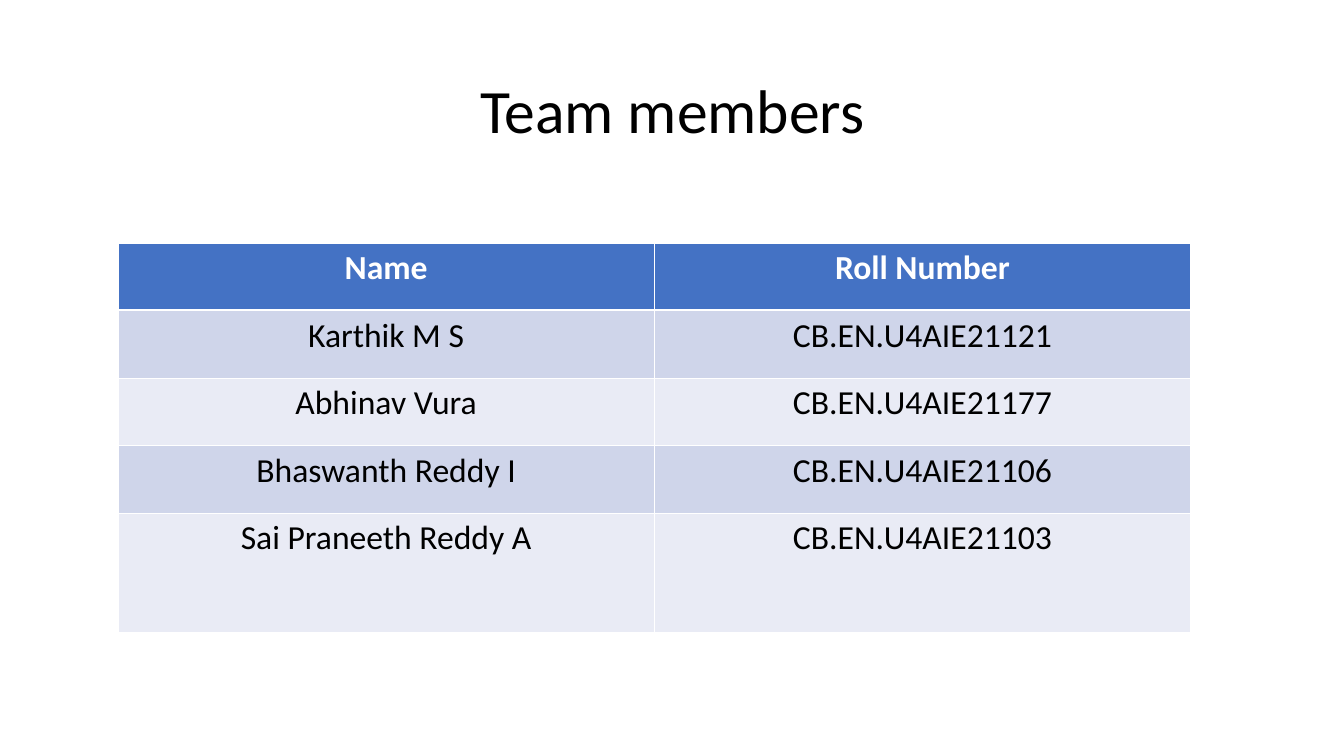
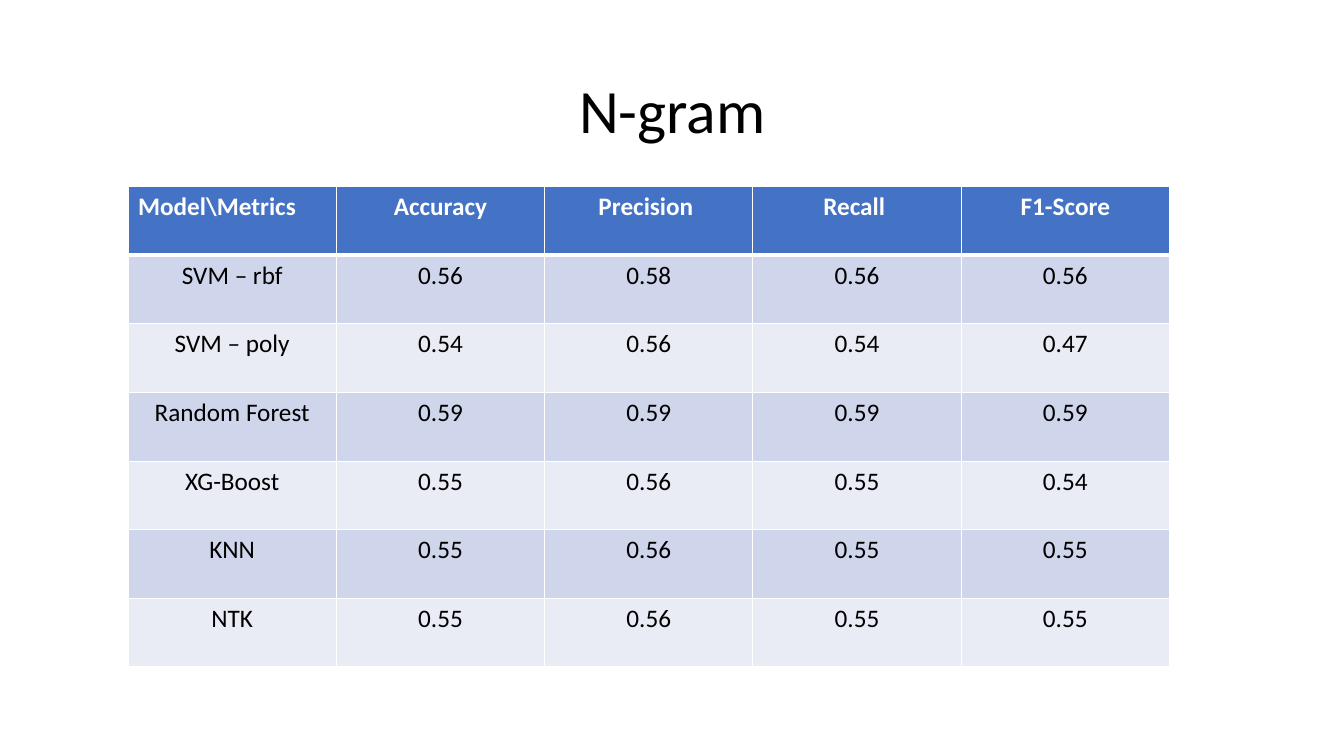
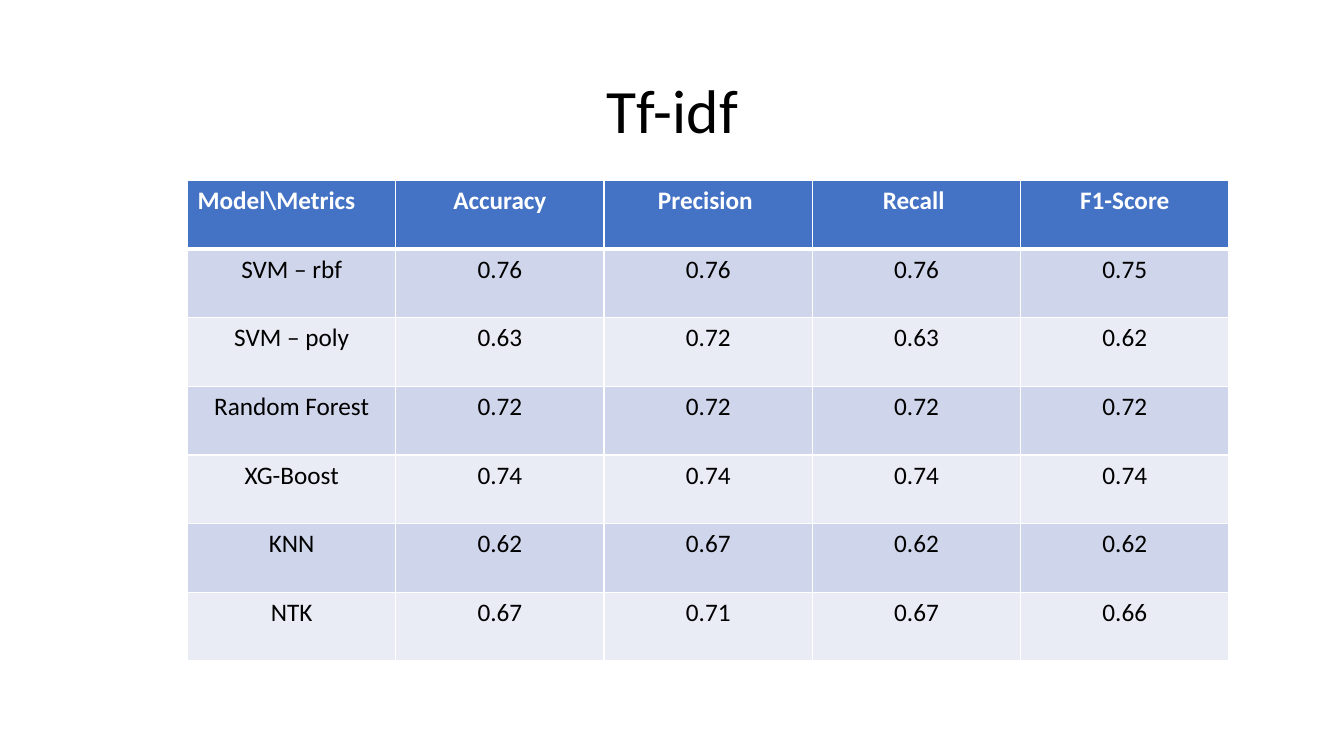
from lxml import etree
from pptx import Presentation
from pptx.dml.color import RGBColor
from pptx.enum.text import MSO_ANCHOR, PP_ALIGN
from pptx.oxml.ns import qn
from pptx.util import Inches, Pt

# Shared style
FONT = "Calibri"
BLACK = RGBColor(0x00, 0x00, 0x00)
WHITE = RGBColor(0xFF, 0xFF, 0xFF)
HEADER_BLUE = RGBColor(0x44, 0x72, 0xC4)
BAND_DARK = RGBColor(0xCF, 0xD5, 0xEA)
BAND_LIGHT = RGBColor(0xE9, 0xEB, 0xF5)
LEFT, CENTER = PP_ALIGN.LEFT, PP_ALIGN.CENTER
MIDDLE = MSO_ANCHOR.MIDDLE
TITLE_LAYOUT = 5

# Table contents
MEMBERS = [
    ("Name", "Roll Number"),
    ("Karthik M S", "CB.EN.U4AIE21121"),
    ("Abhinav Vura", "CB.EN.U4AIE21177"),
    ("Bhaswanth Reddy I", "CB.EN.U4AIE21106"),
    ("Sai Praneeth Reddy A", "CB.EN.U4AIE21103"),
]
METRICS = ("Model\\Metrics", "Accuracy", "Precision ", "Recall ", "F1-Score")
MODELS = ("SVM – rbf", "SVM – poly", "Random Forest", "XG-Boost", "KNN", "NTK")
NGRAM_SCORES = [
    (0.56, 0.58, 0.56, 0.56),
    (0.54, 0.56, 0.54, 0.47),
    (0.59, 0.59, 0.59, 0.59),
    (0.55, 0.56, 0.55, 0.54),
    (0.55, 0.56, 0.55, 0.55),
    (0.55, 0.56, 0.55, 0.55),
]
TFIDF_SCORES = [
    (0.76, 0.76, 0.76, 0.75),
    (0.63, 0.72, 0.63, 0.62),
    (0.72, 0.72, 0.72, 0.72),
    (0.74, 0.74, 0.74, 0.74),
    (0.62, 0.67, 0.62, 0.62),
    (0.67, 0.71, 0.67, 0.66),
]
ngram_rows, tfidf_rows = (
    [METRICS] + [(model, *(f"{score:.2f}" for score in row))
                 for model, row in zip(MODELS, scores)]
    for scores in (NGRAM_SCORES, TFIDF_SCORES)
)

# Title, rows, left, top, table width, row heights, text size, thin and thick rule
MEMBER_HEIGHTS = [0.67] * 4 + [1.18]
METRIC_HEIGHTS = [4.77 / 7] * 7
SLIDES = [
    ("Team members", MEMBERS, 1.17, 2.41, 10.64, MEMBER_HEIGHTS, 24, 0.6, 1.63),
    ("N-gram", ngram_rows, 1.27, 1.85, 10.33, METRIC_HEIGHTS, 18, 1, 3),
    ("Tf-idf", tfidf_rows, 1.86, 1.79, 10.33, METRIC_HEIGHTS, 18, 1, 3),
]


def write_text(text_frame, text, size, color=BLACK, bold=False, align=CENTER, spacing=None):
    paragraph = text_frame.paragraphs[0]
    paragraph.alignment = align
    paragraph.line_spacing = spacing
    run = paragraph.add_run()
    run.text = text
    run.font.name = FONT
    run.font.size = Pt(size)
    run.font.bold = bold
    run.font.color.rgb = color


def add_borders(cell, widths):
    properties = cell._tc.get_or_add_tcPr()
    for side, width in zip(("lnL", "lnR", "lnT", "lnB"), widths):
        line = etree.SubElement(properties, qn(f"a:{side}"), w=str(Pt(width)))
        fill = etree.SubElement(line, qn("a:solidFill"))
        etree.SubElement(fill, qn("a:srgbClr"), val=str(WHITE))


presentation = Presentation()
presentation.slide_width = Inches(13.33)
presentation.slide_height = Inches(7.5)

# Title position, inherited by every slide
layout = presentation.slide_layouts[TITLE_LAYOUT]
layout_title = layout.placeholders[0]
layout_title.left, layout_title.top = Inches(0.92), Inches(0.4)
layout_title.width, layout_title.height = Inches(11.5), Inches(1.45)
layout_title.text_frame.vertical_anchor = MIDDLE

for title, rows, left, top, width, heights, size, thin, thick in SLIDES:
    slide = presentation.slides.add_slide(layout)
    write_text(slide.shapes.title.text_frame, title, 44, spacing=0.9)

    # Table grid
    column_count = len(rows[0])
    table = slide.shapes.add_table(
        len(rows), column_count, Inches(left), Inches(top),
        Inches(width), Inches(sum(heights))).table
    for column in table.columns:
        column.width = Inches(width / column_count)
    for row, height in zip(table.rows, heights):
        row.height = Inches(height)

    # Header row and banded cells
    for row_index, row in enumerate(rows):
        is_header = row_index == 0
        band = BAND_DARK if row_index % 2 else BAND_LIGHT
        above = thick if row_index == 1 else thin
        below = thick if is_header else thin
        for column_index, text in enumerate(row):
            cell = table.cell(row_index, column_index)
            add_borders(cell, (thin, thin, above, below))
            cell.fill.solid()
            cell.fill.fore_color.rgb = HEADER_BLUE if is_header else band
            write_text(cell.text_frame, text, size,
                       color=WHITE if is_header else BLACK, bold=is_header,
                       align=LEFT if text == METRICS[0] else CENTER)

presentation.save("out.pptx")
